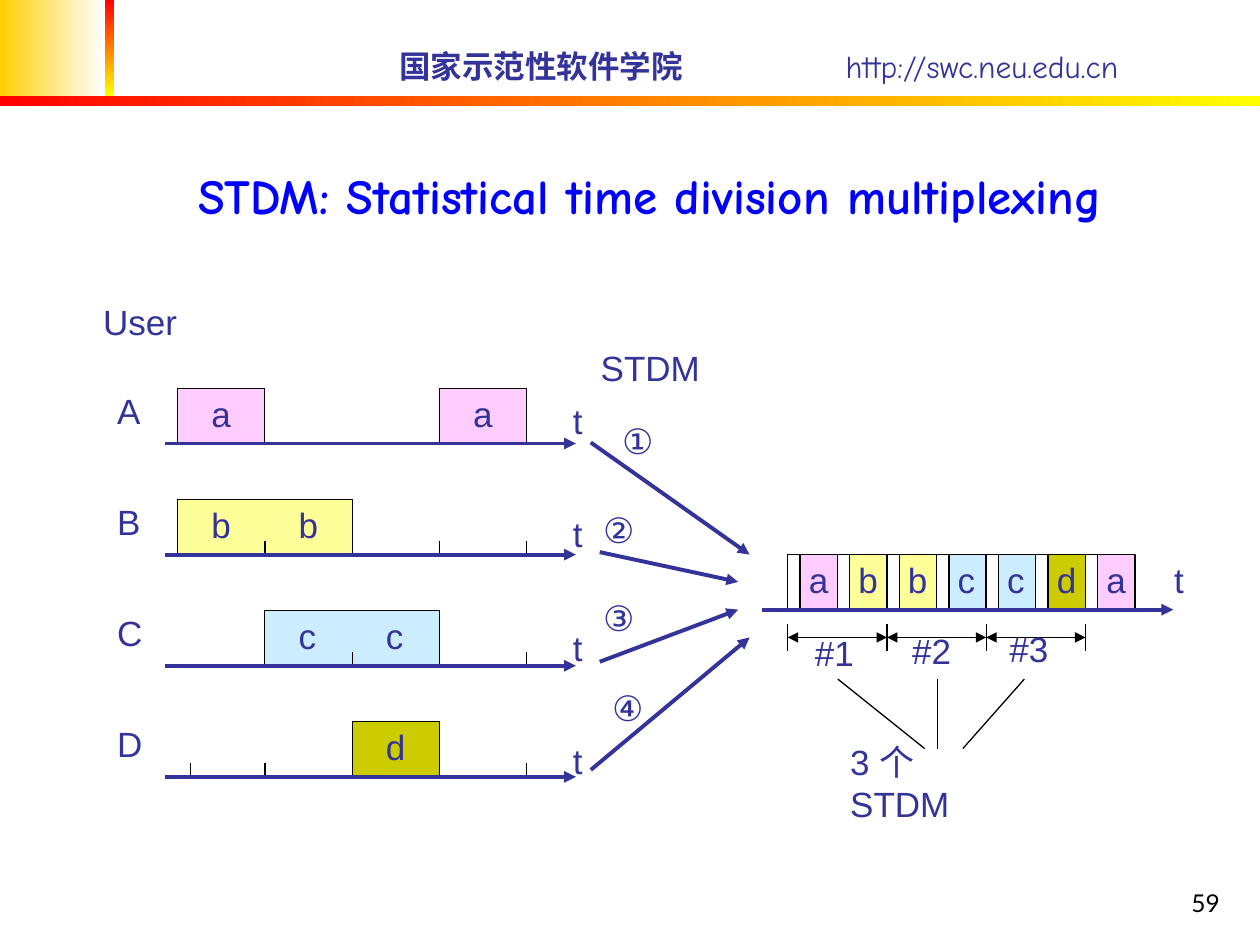
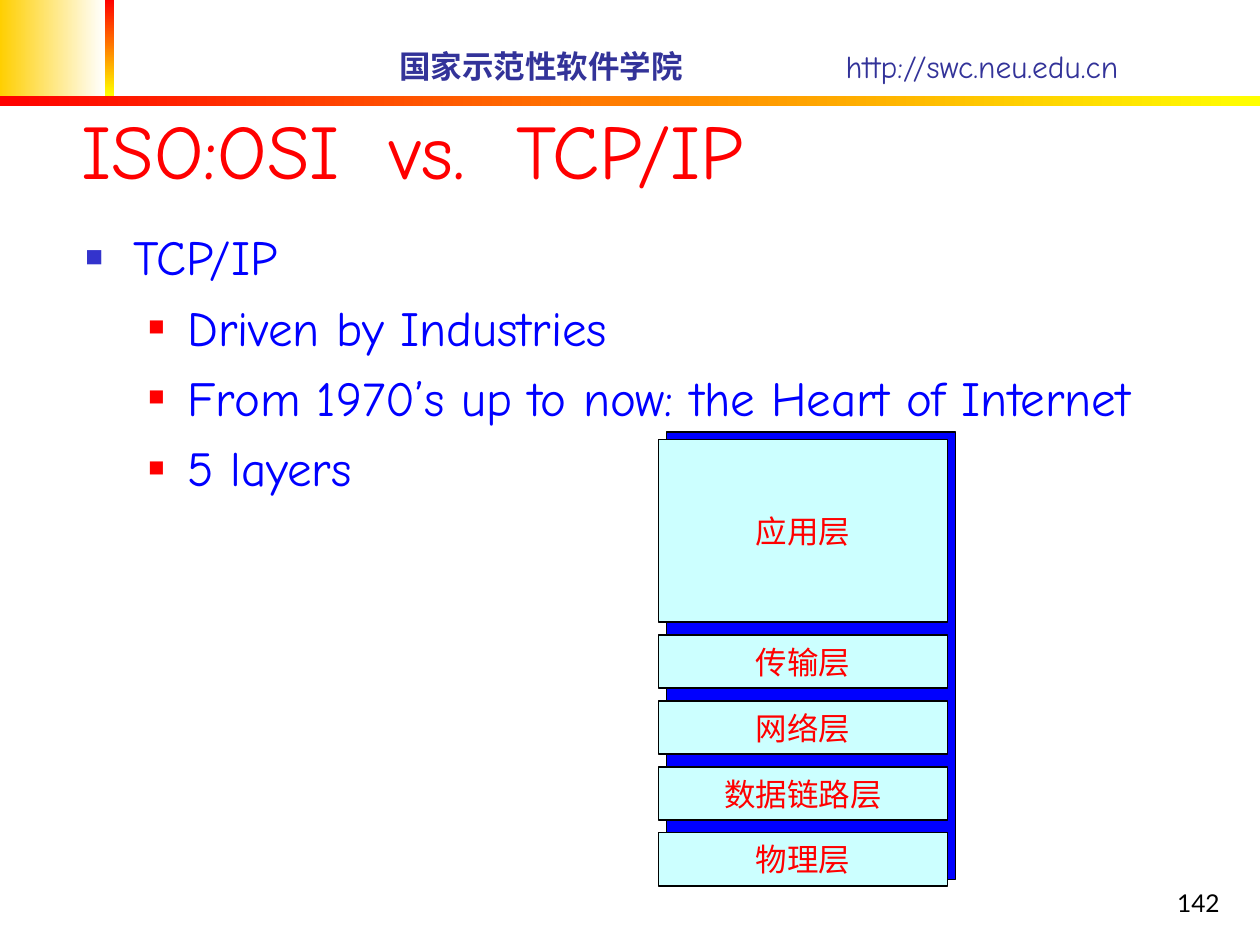
from lxml import etree
from pptx import Presentation
from pptx.dml.color import RGBColor
from pptx.enum import shapes, text
from pptx.oxml import ns
from pptx.util import Cm, Pt

INK, BLUE, RED, BLACK = "333399", "0000FF", "FF0000", "000000"
PINK, YELLOW, SKY, OLIVE = "FFCCFF", "FFFF99", "CCECFF", "CCCC00"
CJK = "Noto Sans CJK SC"
HEADER = dict(name="Comic Neue", size=18, color=INK)
TITLE = dict(name="Comic Neue", size=28, color=BLUE, bold=True)
BIG_TITLE = dict(name="Comic Neue", size=44, color=RED)
BODY = dict(name="Comic Neue", size=28, color=BLUE)
LABEL = dict(name="Arial", size=20, color=INK)
NUMBER = dict(name="Lato", size=14, color=BLACK)
LAYER = dict(name=CJK, size=18, color=RED)

# Shared bands: left, top, width, height, first colour, last colour, angle
BANDS = [
    (0, 0, 2.11, 1.93, "FFCF01", "FFFFFF", 0),
    (2.11, 0, 0.2, 1.93, RED, "FFFF00", 270),
    (0, 1.93, 25.4, 0.2, RED, "FFFF00", 0),
]

# Users: name, colour, blocks (first slot, letters), ticks at slot edges
USERS = [
    ("A", PINK, [(0, "a"), (3, "a")], []),
    ("B", YELLOW, [(0, "bb")], [1, 3, 4]),
    ("C", SKY, [(1, "cc")], [2, 4]),
    ("D", OLIVE, [(2, "d")], [0.15, 1, 4]),
]
COLOURS = {"a": PINK, "b": YELLOW, "c": SKY, "d": OLIVE}
STREAM = "abbccda"
# Arrows into the multiplexer: start, end, label, label position
INPUTS = [
    (11.91, 8.92, 15.11, 11.18, "①", 12.29, 8.33),
    (12.09, 11.13, 14.88, 11.73, "②", 11.91, 10.13),
    (12.09, 13.34, 14.88, 12.29, "③", 11.91, 11.91),
    (11.91, 15.52, 15.11, 12.85, "④", 12.09, 13.72),
]
FAN = [(16.89, 18.64), (18.9, 18.9), (20.65, 19.41)]

# Level, bullet colour, bullet size in %, left margin, hanging indent
LEVELS = [("3333CC", 60, 0.97, 0.97), (RED, 55, 2.06, 0.79)]
POINTS = [
    (0, "TCP/IP"),
    (1, "Driven by Industries"),
    (1, "From 1970’s up to now: the Heart of Internet"),
    (1, "5 layers"),
]
LAYERS = [("应用层", 3.68), ("传输层", 1.07), ("网络层", 1.07),
          ("数据链路层", 1.07), ("物理层", 1.07)]


def rgb(value):
    return RGBColor.from_string(value)


def sub(parent, tag, **attrs):
    el = etree.SubElement(parent, ns.qn(tag))
    for key, value in attrs.items():
        el.set(key, str(value))
    return el


def add_run(p, words, fmt, **extra):
    r = p.add_run()
    r.text = words
    for key, value in {**fmt, **extra}.items():
        if key == "color":
            r.font.color.rgb = rgb(value)
        else:
            setattr(r.font, key, Pt(value) if key == "size" else value)
    sub(r.font._element, "a:ea", typeface=CJK)


def add_tabs(p, *stops):
    tabs = sub(p._p.get_or_add_pPr(), "a:tabLst")
    for stop in stops:
        sub(tabs, "a:tab", pos=Cm(stop), algn="l")


def add_text(s, x, y, w, h, words="", fmt=LABEL, wrap=True, anchor="TOP", align="LEFT"):
    tf = s.shapes.add_textbox(Cm(x), Cm(y), Cm(w), Cm(h)).text_frame
    tf.word_wrap = wrap
    tf.vertical_anchor = getattr(text.MSO_ANCHOR, anchor)
    p = tf.paragraphs[0]
    p.alignment = getattr(text.PP_ALIGN, align)
    if words:
        add_run(p, words, fmt)
    return p


def add_label(s, x, y, words, w=0.91):
    add_text(s, x, y, w, 1.09, words, wrap=False)


def outline(sp, fill=None):
    sp.shadow.inherit = False
    if fill:
        sp.fill.solid()
        sp.fill.fore_color.rgb = rgb(fill)
    else:
        sp.fill.background()
    sp.line.color.rgb = rgb(BLACK)
    sp.line.width = Pt(0.75)


def add_box(s, x, y, w, h, fill):
    sp = s.shapes.add_shape(shapes.MSO_SHAPE.RECTANGLE, Cm(x), Cm(y), Cm(w), Cm(h))
    outline(sp, fill)
    return sp


def add_pulse(s, x, base, w, h, fill=None):
    """A block that is open where it stands on the time axis."""
    fb = s.shapes.build_freeform(Cm(x), Cm(base))
    fb.add_line_segments([(Cm(x), Cm(base - h)), (Cm(x + w), Cm(base - h)),
                          (Cm(x + w), Cm(base))], close=False)
    outline(fb.convert_to_shape(), fill)


def add_line(s, x1, y1, x2, y2, color=BLACK, width=0.75, ends=()):
    c = s.shapes.add_connector(shapes.MSO_CONNECTOR.STRAIGHT, Cm(x1), Cm(y1), Cm(x2), Cm(y2))
    c.line.color.rgb = rgb(color)
    c.line.width = Pt(width)
    for end in ends:
        sub(c.line._get_or_add_ln(), end, type="triangle")
    sub(c._element.spPr, "a:effectLst")


def add_arrow(s, *ends):
    add_line(s, *ends, color=INK, width=2.25, ends=["a:tailEnd"])


def add_slide(prs, number):
    s = prs.slides.add_slide(prs.slide_layouts[6])
    for x, y, w, h, first, last, angle in BANDS:
        sp = add_box(s, x, y, w, h, first)
        sp.line.fill.background()
        sp.fill.gradient()
        sp.fill.gradient_angle = angle
        for stop, color in zip(sp.fill.gradient_stops, (first, last)):
            stop.color.rgb = rgb(color)
    p = add_text(s, 7.8, 0.81, 17.02, 1.02, anchor="MIDDLE")
    add_tabs(p, 9.0)
    add_run(p, "国家示范性软件学院", HEADER, bold=True)
    add_run(p, "\thttp://swc.neu.edu.cn", HEADER)
    add_text(s, 19.56, 17.35, 5.28, 1.27, number, NUMBER, anchor="BOTTOM", align="RIGHT")
    return s


def build_stdm(prs):
    s = add_slide(prs, "59")
    add_text(s, 0.41, 2.51, 25.37, 2.13, "STDM: Statistical time division multiplexing",
             TITLE, anchor="BOTTOM", align="CENTER")
    add_label(s, 1.83, 5.94, "User", 2.03)
    add_label(s, 11.86, 6.86, "STDM", 2.54)

    # User time lines
    left, slot, high, tick = 3.58, 1.76, 1.11, 0.28
    for i, (user, color, blocks, ticks) in enumerate(USERS):
        base = 8.94 + 2.24 * i
        for first, letters in blocks:
            x = left + first * slot
            add_pulse(s, x, base, slot * len(letters), high, color)
            for j, letter in enumerate(letters):
                add_label(s, x + (j + 0.5) * slot - 0.45, base - high - 0.05, letter)
        for edge in ticks:
            x = left + edge * slot
            add_line(s, x, base - tick, x, base)
        add_arrow(s, 3.33, base, 11.61, base)
        add_label(s, 2.11, base - 1.22, user, 1)
        add_label(s, 11.3, 7.92 + 2.29 * i, "t", 0.71)

    # Inputs to the multiplexer
    for x1, y1, x2, y2, mark, x, y in INPUTS:
        add_arrow(s, x1, y1, x2, y2)
        add_label(s, x, y, mark, 1.22)

    # Multiplexed stream: each cell is a short header and a data block
    left, cell, head, base = 15.88, 1.0, 0.25, 12.29
    for i, letter in enumerate(STREAM):
        x = left + i * cell
        add_pulse(s, x + head, base, cell - head, high, COLOURS[letter])
        add_pulse(s, x, base, head, high)
        add_label(s, x + head + (cell - head) / 2 - 0.45, base - high - 0.05, letter)
    for edge in (2 + head, 3, 6):
        add_line(s, left + edge * cell, base - tick, left + edge * cell, base)
    add_arrow(s, 15.37, base, 23.65, base)
    add_label(s, 23.42, 11.13, "t", 0.71)

    # Frames of two cells
    for i in range(4):
        x = left + 2 * cell * i
        add_line(s, x, 12.57, x, 13.13)
        if i < 3:
            add_line(s, x, 12.85, x + 2 * cell, 12.85, ends=["a:headEnd", "a:tailEnd"])
            add_label(s, 16.18 + 1.96 * i, 12.6 - 0.04 * i, f"#{i + 1}", 1.3)
    for x1, x2 in FAN:
        add_line(s, x1, 13.69, x2, 15.09)
    add_text(s, 16.89, 14.81, 3.2, 1.98, "3 个 STDM")


def build_tcpip(prs):
    s = add_slide(prs, "142")
    p = add_text(s, 1.4, 0, 21.64, 4.06, anchor="BOTTOM")
    add_tabs(p, 6.2, 8.77)
    add_run(p, "ISO:OSI\tvs.\tTCP/IP", BIG_TITLE)

    # Stack of layers on a blue back plate
    add_box(s, 13.44, 8.71, 5.82, 9.02, BLUE)
    y = 8.86
    for layer, high in LAYERS:
        tf = add_box(s, 13.28, y, 5.82, high, "CCFFFF").text_frame
        tf.word_wrap = False
        tf.vertical_anchor = text.MSO_ANCHOR.MIDDLE
        tf.paragraphs[0].alignment = text.PP_ALIGN.CENTER
        add_run(tf.paragraphs[0], layer, LAYER)
        y += high + 0.26

    # Bulleted points
    p = add_text(s, 1.47, 4.45, 22.4, 5.26)
    tf = p._parent
    for i, (level, words) in enumerate(POINTS):
        if i:
            p = tf.add_paragraph()
            p.space_before = Pt(6.5)
        p.level = level
        color, size, margin, hang = LEVELS[level]
        pPr = p._p.get_or_add_pPr()
        pPr.set("marL", str(Cm(margin)))
        pPr.set("indent", str(-Cm(hang)))
        sub(sub(pPr, "a:buClr"), "a:srgbClr", val=color)
        sub(pPr, "a:buSzPct", val=size * 1000)
        sub(pPr, "a:buFont", typeface="Arial")
        sub(pPr, "a:buChar", char="■")
        add_run(p, words, BODY)


def main():
    prs = Presentation()
    prs.slide_width, prs.slide_height = Cm(25.4), Cm(19.05)
    build_stdm(prs)
    build_tcpip(prs)
    prs.save("out.pptx")


if __name__ == "__main__":
    main()
